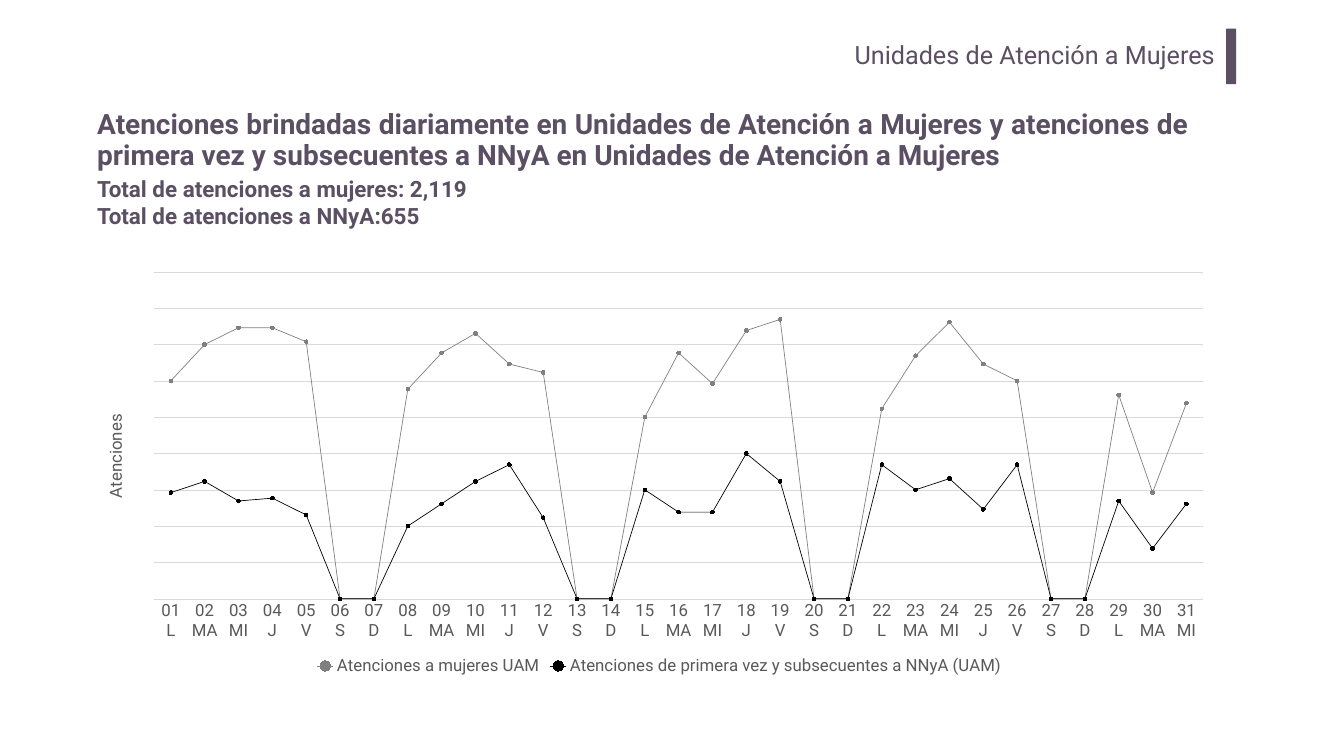
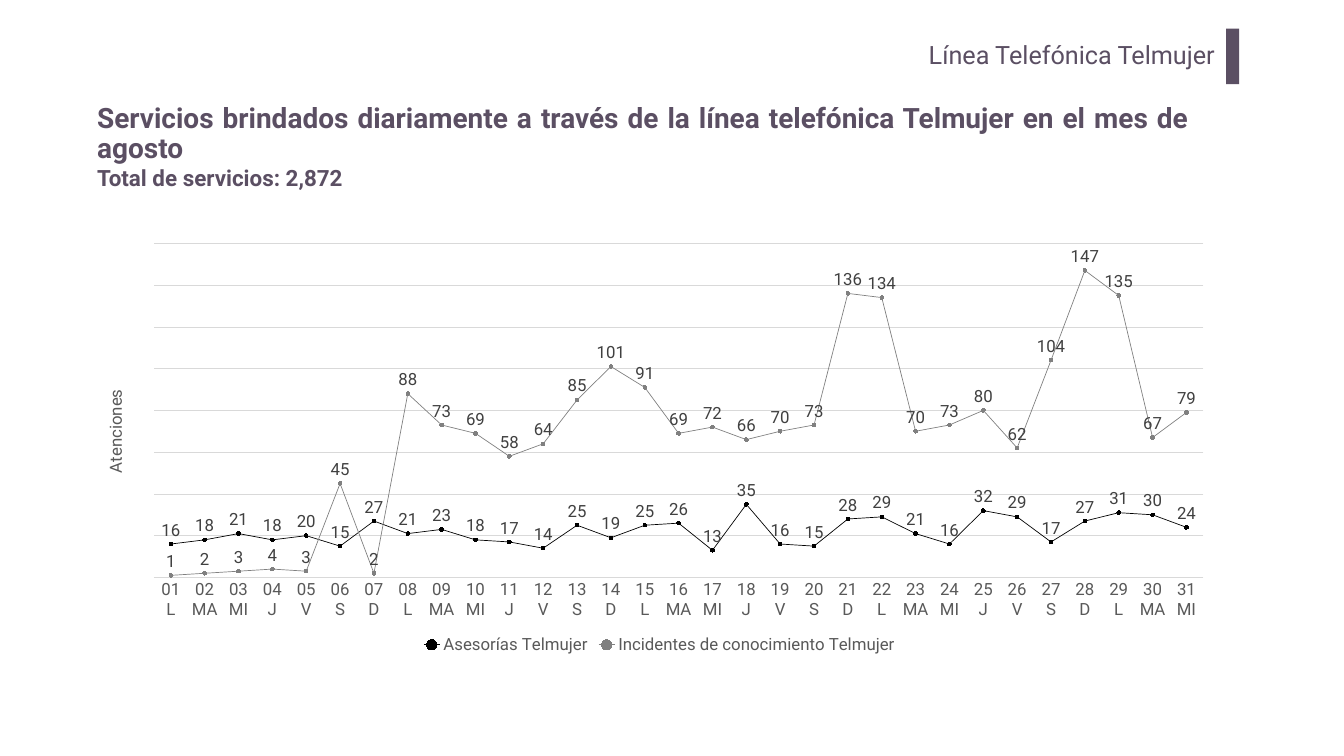
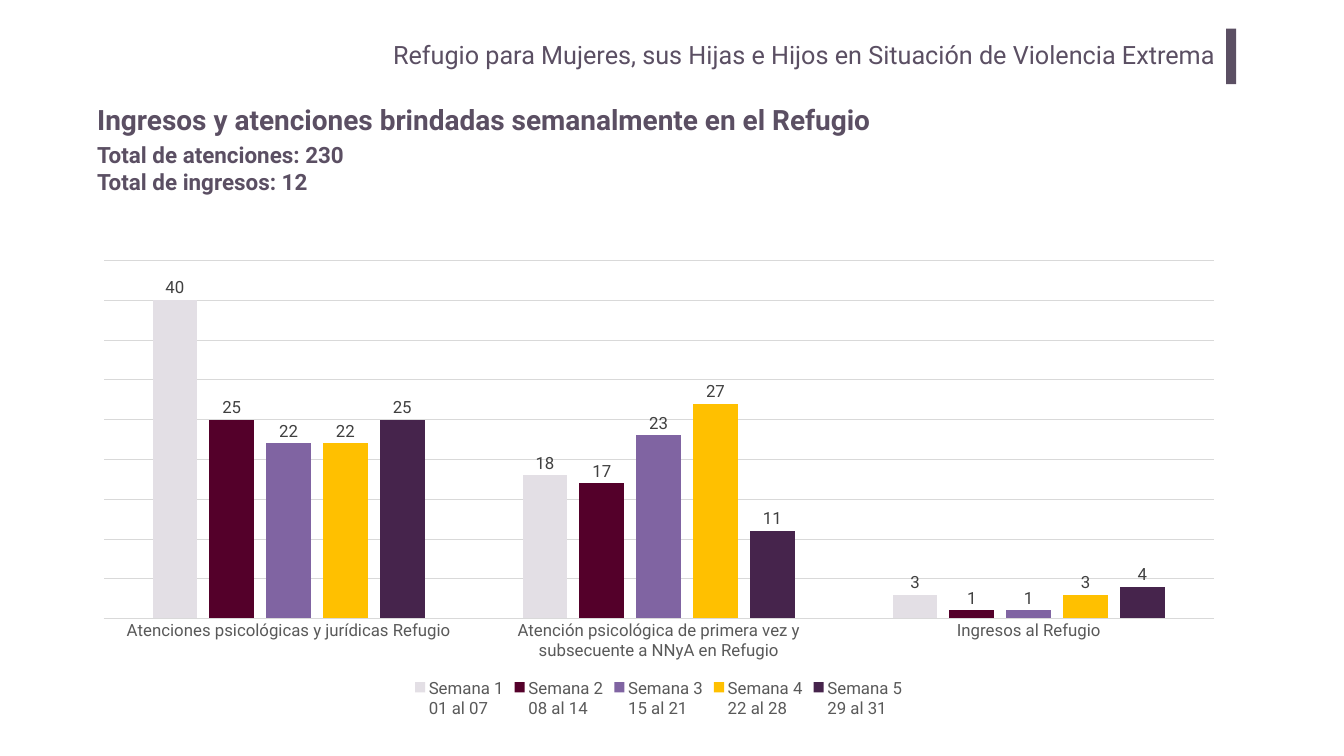
from dataclasses import dataclass

from lxml import etree
from pptx import Presentation
from pptx.chart.data import CategoryChartData
from pptx.dml.color import RGBColor
from pptx.enum.chart import XL_CHART_TYPE as ChartType
from pptx.enum.chart import XL_LABEL_POSITION as LabelPos
from pptx.enum.chart import XL_LEGEND_POSITION as LegendPos
from pptx.enum.chart import XL_MARKER_STYLE as Marker
from pptx.enum.chart import XL_TICK_MARK as TickMark
from pptx.enum.shapes import MSO_SHAPE as Preset
from pptx.enum.text import MSO_ANCHOR as Anchor
from pptx.enum.text import MSO_AUTO_SIZE as AutoSize
from pptx.enum.text import PP_ALIGN as Align
from pptx.oxml.ns import qn
from pptx.util import Inches, Pt

# Shared style
PLUM = RGBColor(0x5B, 0x4F, 0x63)
BLACK = RGBColor(0x00, 0x00, 0x00)
GRAY = RGBColor(0x80, 0x80, 0x80)
AXIS_TEXT = RGBColor(0x59, 0x59, 0x59)
LABEL_TEXT = RGBColor(0x40, 0x40, 0x40)
GRID = RGBColor(0xD9, 0xD9, 0xD9)
LILAC = RGBColor(0xE3, 0xDF, 0xE5)
WINE = RGBColor(0x54, 0x00, 0x2A)
VIOLET = RGBColor(0x80, 0x64, 0xA2)
AMBER = RGBColor(0xFF, 0xC0, 0x00)
AUBERGINE = RGBColor(0x46, 0x24, 0x4C)
FONT = "Roboto"
LEFT = 1.83

# Days of August, the first one a Monday
WEEKDAYS = ["L", "MA", "MI", "J", "V", "S", "D"]
DAYS = [f"{day:02}\n{WEEKDAYS[(day - 1) % 7]}" for day in range(1, 32)]


@dataclass
class Series:
    name: str
    color: RGBColor
    values: list[int]


@dataclass
class ChartBlock:
    kind: ChartType
    top: float
    width: float
    height: float
    categories: list[str]
    series: list[Series]
    axis_max: int
    axis_step: int
    labels: LabelPos | None = None
    axis_title: str = ""
    plot_area: tuple[float, ...] = ()


@dataclass
class Report:
    section: str
    heading: str
    heading_top: float
    totals: list[str]
    totals_top: float
    totals_size: tuple[float, float]
    chart: ChartBlock
    band_width: float = 0.2


REPORTS = [
    Report(
        "Unidades de Atención a Mujeres",
        "Atenciones brindadas diariamente en Unidades de Atención a Mujeres y atenciones de "
        "primera vez y subsecuentes a NNyA en Unidades de Atención a Mujeres",
        2.07,
        ["Total de atenciones a mujeres: 2,119", "Total de atenciones a NNyA:655"],
        3.43, (8.12, 1.18),
        ChartBlock(
            ChartType.LINE_MARKERS, 5.23, 22.5, 8.25, DAYS,
            [
                Series("Atenciones a mujeres UAM", GRAY,
                       [78, 91, 97, 97, 92, 0, 0, 75, 88, 95, 84, 81, 0, 0, 65, 88, 77, 96, 100,
                        0, 0, 68, 87, 99, 84, 78, 0, 0, 73, 38, 70]),
                Series("Atenciones de primera vez y subsecuentes a NNyA (UAM)", BLACK,
                       [38, 42, 35, 36, 30, 0, 0, 26, 34, 42, 48, 29, 0, 0, 39, 31, 31, 52, 42,
                        0, 0, 48, 39, 43, 32, 48, 0, 0, 35, 18, 34]),
            ],
            117, 13, axis_title="Atenciones"),
    ),
    Report(
        "Línea Telefónica Telmujer",
        "Servicios brindados diariamente a través de la línea telefónica Telmujer en el mes "
        "de agosto",
        1.94, ["Total de servicios: 2,872"], 3.21, (8.12, 0.64),
        ChartBlock(
            ChartType.LINE_MARKERS, 4.66, 22.5, 8.4, DAYS,
            [
                Series("Asesorías Telmujer", BLACK,
                       [16, 18, 21, 18, 20, 15, 27, 21, 23, 18, 17, 14, 25, 19, 25, 26, 13, 35,
                        16, 15, 28, 29, 21, 16, 32, 29, 17, 27, 31, 30, 24]),
                Series("Incidentes de conocimiento Telmujer", GRAY,
                       [1, 2, 3, 4, 3, 45, 2, 88, 73, 69, 58, 64, 85, 101, 91, 69, 72, 66, 70,
                        73, 136, 134, 70, 73, 80, 62, 104, 147, 135, 67, 79]),
            ],
            160, 20, LabelPos.ABOVE, "Atenciones"),
        band_width=0.26,
    ),
    Report(
        "Refugio para Mujeres, sus Hijas e Hijos en Situación de Violencia Extrema",
        "Ingresos y atenciones brindadas semanalmente en el Refugio",
        1.69, ["Total de atenciones: 230", "Total de ingresos: 12"], 2.75, (5.64, 1.18),
        ChartBlock(
            ChartType.COLUMN_CLUSTERED, 4.98, 22.48, 9.35,
            ["Atenciones psicológicas y jurídicas Refugio",
             "Atención psicológica de primera vez y subsecuente a NNyA en Refugio",
             "Ingresos al Refugio"],
            [
                Series("Semana 1\n01 al 07", LILAC, [40, 18, 3]),
                Series("Semana 2\n08 al 14", WINE, [25, 17, 1]),
                Series("Semana 3\n15 al 21", VIOLET, [22, 23, 1]),
                Series("Semana 4\n22 al 28", AMBER, [22, 27, 3]),
                Series("Semana 5\n29 al 31", AUBERGINE, [25, 11, 4]),
            ],
            45, 5, LabelPos.OUTSIDE_END, plot_area=(0.01, 0.02, 0.98, 0.76)),
    ),
]


def style_font(font, size: float, color: RGBColor, bold: bool = False, name: str = FONT) -> None:
    font.name, font.size, font.bold = name, Pt(size), bold
    font.color.rgb = color


def add_text(slide, box: tuple[float, ...], lines: list[str], size: float,
             bold: bool = True, align: Align = Align.LEFT, inset: tuple[float, float] = (0.1, 0.05)):
    """Write one paragraph per line in the shared plum style."""
    frame = slide.shapes.add_textbox(*map(Inches, box)).text_frame
    frame.word_wrap = True
    frame.margin_left = frame.margin_right = Inches(inset[0])
    frame.margin_top = frame.margin_bottom = Inches(inset[1])
    frame.text = "\n".join(lines)
    for paragraph in frame.paragraphs:
        paragraph.alignment = align
        for run in paragraph.runs:
            style_font(run.font, size, PLUM, bold)
    return frame


def add_header(slide, report: Report) -> None:
    # Section name with its band
    add_text(slide, (4.01, 0.67, 20.3, 1.02), [report.section], 36, False, Align.RIGHT, (0.2, 0.1))
    band = slide.shapes.add_shape(Preset.RECTANGLE, Inches(24.33), Inches(0.57),
                                  Inches(report.band_width), Inches(1.1))
    band.shadow.inherit = False
    band.fill.solid()
    band.fill.fore_color.rgb = PLUM
    band.line.fill.background()

    # Heading and totals
    heading = add_text(slide, (LEFT, report.heading_top, 21.85, 1.45), [report.heading], 40,
                       align=Align.JUSTIFY)
    heading.vertical_anchor = Anchor.MIDDLE
    heading.paragraphs[0].line_spacing = 0.9
    totals = add_text(slide, (LEFT, report.totals_top, *report.totals_size), report.totals, 32)
    totals.auto_size = AutoSize.SHAPE_TO_FIT_TEXT


def style_axes(chart, block: ChartBlock) -> None:
    days = chart.category_axis
    days.major_tick_mark = days.minor_tick_mark = TickMark.NONE
    style_font(days.tick_labels.font, 24, AXIS_TEXT)
    counts = chart.value_axis
    counts.minimum_scale, counts.maximum_scale = 0, block.axis_max
    counts.major_unit = block.axis_step
    counts.has_major_gridlines = True
    for line in (days.format.line, counts.major_gridlines.format.line):
        line.color.rgb, line.width = GRID, Pt(0.75)
    counts.visible = False
    if block.axis_title:
        frame = counts.axis_title.text_frame
        frame.text = block.axis_title
        style_font(frame.paragraphs[0].runs[0].font, 24, AXIS_TEXT)
        body = frame._txBody.find(qn("a:bodyPr"))
        body.set("rot", "-5400000")
        body.set("vert", "horz")


def style_series(drawn, color: RGBColor, block: ChartBlock) -> None:
    if block.kind == ChartType.LINE_MARKERS:
        drawn.smooth = False
        drawn.format.line.color.rgb, drawn.format.line.width = color, Pt(1)
        drawn.marker.style, drawn.marker.size = Marker.CIRCLE, 5
        fill = drawn.marker.format.fill
        drawn.marker.format.line.color.rgb = color
    else:
        fill = drawn.format.fill
        drawn.invert_if_negative = False
    fill.solid()
    fill.fore_color.rgb = color
    if block.labels is not None:
        labels = drawn.data_labels
        labels.show_value, labels.position = True, block.labels
        style_font(labels.font, 24, LABEL_TEXT)


def place_plot(chart, plot_area: tuple[float, ...]) -> None:
    """Fix the inner plot area as fractions of the chart."""
    area = chart._chartSpace.find(f".//{qn('c:plotArea')}")
    layout = area.find(qn("c:layout"))
    if layout is None:
        layout = etree.Element(qn("c:layout"))
        area.insert(0, layout)
    manual = etree.SubElement(layout, qn("c:manualLayout"))
    settings = [("layoutTarget", "inner"), ("xMode", "edge"), ("yMode", "edge"),
                *zip("xywh", plot_area)]
    for tag, value in settings:
        etree.SubElement(manual, qn(f"c:{tag}")).set("val", str(value))


def add_chart(slide, block: ChartBlock) -> None:
    data = CategoryChartData()
    data.categories = block.categories
    for series in block.series:
        data.add_series(series.name, series.values)
    box = map(Inches, (LEFT, block.top, block.width, block.height))
    chart = slide.shapes.add_chart(block.kind, *box, data).chart
    style_font(chart.font, 10, BLACK, name="Arial")
    chart.has_title = False
    chart.has_legend = True
    chart.legend.position = LegendPos.BOTTOM
    chart.legend.include_in_layout = False
    style_font(chart.legend.font, 24, AXIS_TEXT)
    style_axes(chart, block)

    plot = chart.plots[0]
    plot.vary_by_categories = False
    if block.kind == ChartType.COLUMN_CLUSTERED:
        plot.gap_width, plot.overlap = 219, -27
    for drawn, series in zip(plot.series, block.series):
        style_series(drawn, series.color, block)
    if block.plot_area:
        place_plot(chart, block.plot_area)


def main() -> None:
    deck = Presentation()
    deck.slide_width, deck.slide_height = Inches(26.67), Inches(15)
    for report in REPORTS:
        slide = deck.slides.add_slide(deck.slide_layouts[6])
        add_header(slide, report)
        add_chart(slide, report.chart)
    deck.save("out.pptx")


if __name__ == "__main__":
    main()
